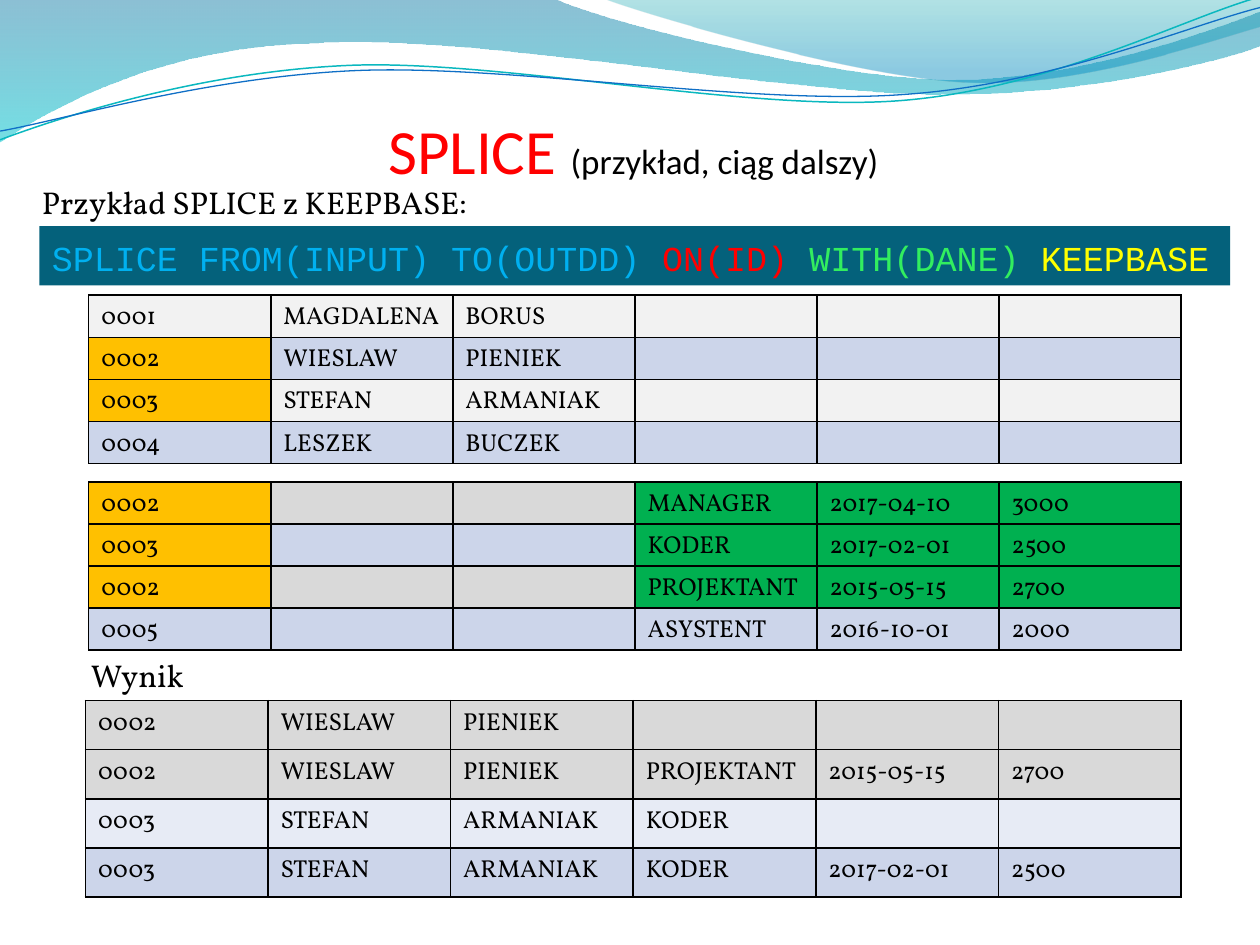
from lxml.etree import SubElement
from pptx import Presentation
from pptx.dml.color import RGBColor
from pptx.enum.shapes import MSO_SHAPE as Shape
from pptx.enum.text import MSO_ANCHOR as Anchor, PP_ALIGN as Align
from pptx.oxml.ns import qn
from pptx.util import Pt

COLORS = {
    "black": "000000", "red": "FF0000", "sky": "00B0F0", "lime": "32EE5F",
    "yellow": "FFFF00", "banner": "04617B", "pale": "F2F2F2", "gray": "D9D9D9",
    "blue": "CCD5EA", "ice": "E7EBF5", "key": "FFC000", "data": "00B050",
    "deep": "0074A1", "cyan": "00C6CF", "teal": "00A1A9", "azure": "008BBF",
    "teal line": "0AB8BF", "blue line": "0F6FC6",
}

# A step of two numbers is a straight line, one of six is a Bézier curve.
WAVES = [
    {"start": (0, 0), "steps": [
        (316.8, -0.7), (342.7, 12.2, 478.1, 45.4, 545.8, 45.4),
        (614.2, 45.4, 689.8, 18.7, 720, 6.5), (720.7, 25.9),
        (707.8, 31.7, 626.4, 54.7, 537.1, 54), (447.8, 54, 275, 20.2, 185, 24.5),
        (92.9, 25.9, 33.1, 59.8, -0.7, 81.4), (0, 0)],
     "stops": [(0, "deep", 45), (1, "cyan", 55)]},
    {"start": (344.9, -0.7), "steps": [
        (366.5, 7.9, 491, 44.6, 553.7, 46.8),
        (616.3, 49.7, 691.9, 23, 720, 15.1), (720, 0), (344.9, -0.7)],
     "stops": [(0, "teal", 30), (0.8, "azure", 45)]},
    {"start": (0, 79.9), "steps": [
        (34.6, 67, 113.8, 41, 199.4, 37.4), (284.4, 33.8, 427, 64.1, 513.4, 57.6),
        (599.8, 51.1, 675.4, 10.8, 718.6, -1.4)],
     "line": ("teal line", 0.85)},
    {"start": (0, 74.9), "steps": [
        (33.8, 69.1, 118.1, 43.9, 203.8, 40.3), (290.2, 36.7, 429.8, 60.5, 516.2, 54),
        (601.9, 48.2, 677.5, 15.1, 720, 4.3)],
     "line": ("blue line", 0.75)},
]

# Each run: text, font, size, colour.
TEXTS = [
    {"box": (34, 55.8, 656, 51.1),
     "runs": [("SPLICE ", "Calibri", 36, "red"),
              ("(przykład, ciąg dalszy)", "Calibri", 20, "black")],
     "frame": {"vertical_anchor": Anchor.BOTTOM, "margin_left": 0, "margin_right": 0,
               "margin_top": Pt(3.6), "margin_bottom": 0},
     "paragraph": {"alignment": Align.CENTER}},
    {"box": (16.8, 101.2, 292.3, 28.8),
     "runs": [("Przykład SPLICE z KEEPBASE:", "Vollkorn", 18, "black")],
     "paragraph": {"space_before": Pt(3.6)}},
    {"box": (22.5, 129.3, 680.4, 33.8), "fill": "banner",
     "runs": [("SPLICE FROM(INPUT) TO(OUTDD) ", "Courier New", 20, "sky"),
              ("ON(ID) ", "Courier New", 20, "red"),
              ("WITH(DANE) ", "Courier New", 20, "lime"),
              ("KEEPBASE", "Courier New", 20, "yellow")],
     "paragraph": {"alignment": Align.JUSTIFY, "line_spacing": 1.1,
                   "space_before": Pt(4)}},
    {"box": (44.9, 371.5, 69.1, 28.8), "frame": {"word_wrap": False},
     "runs": [("Wynik:", "Vollkorn", 18, "black")]},
]

# Each row: fills by column (the last one repeats), then the cell texts.
TABLES = [
    {"box": (50.7, 168.7, 624.2, 96), "rows": [
        (["pale"], ["0001", "MAGDALENA", "BORUS", "", "", ""]),
        (["key", "blue"], ["0002", "WIESLAW", "PIENIEK", "", "", ""]),
        (["key", "pale"], ["0003", "STEFAN", "ARMANIAK", "", "", ""]),
        (["blue"], ["0004", "LESZEK", "BUCZEK", "", "", ""])]},
    {"box": (50.7, 275.3, 624.2, 96), "rows": [
        (["key", "gray", "gray", "data"],
         ["0002", "", "", "MANAGER", "2017-04-10", "3000"]),
        (["key", "blue", "blue", "data"],
         ["0003", "", "", "KODER", "2017-02-01", "2500"]),
        (["key", "gray", "gray", "data"],
         ["0002", "", "", "PROJEKTANT", "2015-05-15", "2700"]),
        (["blue"], ["0005", "", "", "ASYSTENT", "2016-10-01", "2000"])]},
    {"box": (48.8, 400.3, 626.1, 112.4), "rows": [
        (["gray"], ["0002", "WIESLAW", "PIENIEK", "", "", ""]),
        (["gray"], ["0002", "WIESLAW", "PIENIEK", "PROJEKTANT", "2015-05-15", "2700"]),
        (["ice"], ["0003", "STEFAN", "ARMANIAK", "KODER", "", ""]),
        (["blue"], ["0003", "STEFAN", "ARMANIAK", "KODER", "2017-02-01", "2500"])]},
]
CELL_SIZE = 14


def rgb(name):
    return RGBColor.from_string(COLORS[name])


def points(values):
    return [Pt(value) for value in values]


def set_all(target, values):
    for name, value in values.items():
        setattr(target, name, value)


def add_run(paragraph, text, font, size, color):
    run = paragraph.add_run()
    run.text = text
    set_all(run.font, {"name": font, "size": Pt(size)})
    run.font.color.rgb = rgb(color)


def bend(shape, steps):
    """Join the three segments of each six-number step into one Bézier curve."""
    segments = iter(list(shape._element.iter(qn("a:lnTo"))))
    for step in steps:
        first = next(segments)
        if len(step) == 6:
            first.tag = qn("a:cubicBezTo")
            for _ in range(2):
                segment = next(segments)
                first.append(segment[0])
                segment.getparent().remove(segment)


def add_wave(slide, wave):
    steps = wave["steps"]
    corners = [points(step[i:i + 2]) for step in steps for i in range(0, len(step), 2)]
    builder = slide.shapes.build_freeform(*points(wave["start"]))
    builder.add_line_segments(corners, close="stops" in wave)
    shape = builder.convert_to_shape()
    bend(shape, steps)
    shape.shadow.inherit = False
    if "line" in wave:
        color, width = wave["line"]
        shape.fill.background()
        shape.line.color.rgb = rgb(color)
        shape.line.width = Pt(width)
        return
    shape.line.fill.background()
    shape.fill.gradient()
    shape.fill.gradient_angle = 270
    for stop, (position, color, _) in zip(shape.fill.gradient_stops, wave["stops"]):
        stop.position = position
        stop.color.rgb = rgb(color)
    for node, (_, _, opacity) in zip(shape._element.spPr.iter(qn("a:srgbClr")), wave["stops"]):
        SubElement(node, qn("a:alpha"), val=str(opacity * 1000))


def add_text(slide, item):
    if "fill" in item:
        shape = slide.shapes.add_shape(Shape.RECTANGLE, *points(item["box"]))
        shape.shadow.inherit = False
        shape.fill.solid()
        shape.fill.fore_color.rgb = rgb(item["fill"])
        shape.line.fill.background()
    else:
        shape = slide.shapes.add_textbox(*points(item["box"]))
    frame = shape.text_frame
    set_all(frame, {"word_wrap": True, "vertical_anchor": Anchor.TOP, **item.get("frame", {})})
    paragraph = frame.paragraphs[0]
    set_all(paragraph, {"alignment": Align.LEFT, **item.get("paragraph", {})})
    for run in item["runs"]:
        add_run(paragraph, *run)


def add_borders(cell):
    properties = cell._tc.get_or_add_tcPr()
    for side in ("lnL", "lnR", "lnT", "lnB"):
        line = SubElement(properties, qn(f"a:{side}"), w=str(Pt(1)))
        fill = SubElement(line, qn("a:solidFill"))
        SubElement(fill, qn("a:srgbClr"), val=COLORS["black"])


def add_data_table(slide, item):
    rows = item["rows"]
    width, height = item["box"][2:]
    column_count = len(rows[0][1])
    table = slide.shapes.add_table(len(rows), column_count, *points(item["box"])).table
    set_all(table, {"first_row": False, "horz_banding": False})
    for column in table.columns:
        column.width = Pt(width / column_count)
    for row, (fills, texts) in zip(table.rows, rows):
        row.height = Pt(height / len(rows))
        for index, (cell, text) in enumerate(zip(row.cells, texts)):
            add_borders(cell)
            cell.fill.solid()
            cell.fill.fore_color.rgb = rgb(fills[min(index, len(fills) - 1)])
            paragraph = cell.text_frame.paragraphs[0]
            if text:
                add_run(paragraph, text, "Vollkorn", CELL_SIZE, "black")
            else:
                paragraph._p.get_or_add_endParaRPr().set("sz", str(CELL_SIZE * 100))


def main():
    presentation = Presentation()
    set_all(presentation, {"slide_width": Pt(720), "slide_height": Pt(540)})
    slide = presentation.slides.add_slide(presentation.slide_layouts[6])
    for add, items in ((add_wave, WAVES), (add_text, TEXTS), (add_data_table, TABLES)):
        for item in items:
            add(slide, item)
    presentation.save("out.pptx")


if __name__ == "__main__":
    main()
